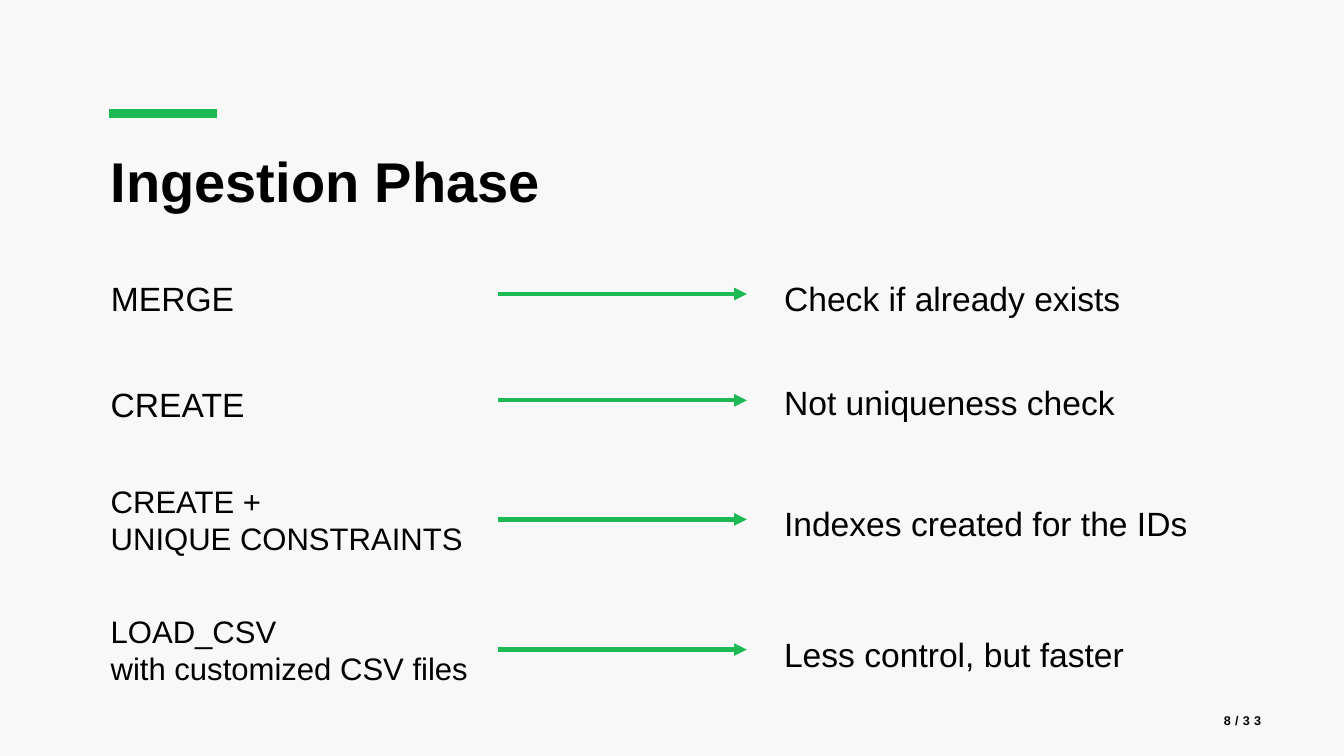
import pptx
import pptx.util
import pptx.dml.color
import pptx.enum.shapes
import pptx.enum.text
import pptx.oxml
import pptx.oxml.ns

Pt = pptx.util.Pt
ALIGN = pptx.enum.text.PP_ALIGN
COLORS = {"background": "F8F8F8", "accent": "1DB954", "text": "000000"}
LEFT, LABEL_WIDTH = 72, 283.7
ARROW_START, ARROW_END = 355.7, 533.5
NOTE_LEFT, NOTE_WIDTH = 553, 354
ROWS = [
    ("MERGE", 210, "Check if already exists", 210),
    ("CREATE", 286, "Not uniqueness check", 284.6),
    ("CREATE +\nUNIQUE CONSTRAINTS", 371, "Indexes created for the IDs", 371),
    ("LOAD_CSV\nwith customized CSV files", 464, "Less control, but faster", 464),
]


def color(name):
    """Return the named colour."""
    return pptx.dml.color.RGBColor.from_string(COLORS[name])


def add_child(parent, tag, **attributes):
    """Append a DrawingML element with attributes."""
    child = pptx.oxml.ns.qn(tag)
    element = parent.makeelement(child, attributes)
    parent.append(element)


def write(box, place, text, size, bold=False, align=ALIGN.LEFT, spacing=1.0, before=0):
    """Place a text shape and format its words."""
    box.left, box.top, box.width, box.height = (Pt(length) for length in place)
    frame = box.text_frame
    frame.text = text
    frame.word_wrap = True
    frame.auto_size = pptx.enum.text.MSO_AUTO_SIZE.NONE
    frame.vertical_anchor = pptx.enum.text.MSO_ANCHOR.MIDDLE
    for para in frame.paragraphs:
        para.alignment = align
        para.line_spacing = spacing
        para.space_before = Pt(before)
        for span in para.runs:
            span.font.name = "Arial"
            span.font.size = Pt(size)
            span.font.bold = bold
            span.font.color.rgb = color("text")


def add_line(page, start, end, y, weight, arrow=False):
    """Draw a horizontal accent line, with an arrowhead on request."""
    line = page.shapes.add_connector(
        pptx.enum.shapes.MSO_CONNECTOR.STRAIGHT, Pt(start), Pt(y), Pt(end), Pt(y))
    line.line.color.rgb = color("accent")
    line.line.width = Pt(weight)
    if arrow:
        add_child(line.line._get_or_add_ln(), "a:tailEnd", type="triangle")
    add_child(line._element.spPr, "a:effectLst")


def add_header(page):
    """Draw the accent bar and the title."""
    add_line(page, 77.8, 154.8, 81, 6)
    write(page.shapes.title, (LEFT, 99.4, 408, 59), "Ingestion Phase", 40, bold=True)


def add_label(page, box, center, text):
    """Place a command centred on its row."""
    if "\n" in text:
        write(box, (LEFT, center - 31.3, LABEL_WIDTH, 62.6), text, 22.2)
    else:
        write(box, (LEFT, center - 22.7, LABEL_WIDTH, 45.4), text, 24, spacing=1.2, before=10)


def add_rows(page):
    """Lay out commands, arrows and their effects."""
    body = page.placeholders[1]
    for index, (label, center, note, note_center) in enumerate(ROWS):
        box = page.shapes.add_textbox(0, 0, 0, 0) if index else body
        add_label(page, box, center, label)
        add_line(page, ARROW_START, ARROW_END, center, 3, arrow=True)
        write(page.shapes.add_textbox(0, 0, 0, 0),
              (NOTE_LEFT, note_center - 22.7, NOTE_WIDTH, 45.4),
              note, 24, spacing=1.2, before=10)
    properties = body.text_frame.paragraphs[0]._p.get_or_add_pPr()
    properties.set("marL", "0")
    properties.set("indent", "0")
    add_child(properties, "a:buNone")


def add_page_number(page):
    """Write the spaced page count at the lower right."""
    box = page.shapes.add_textbox(0, 0, 0, 0)
    write(box, (851, 500.4, 56.9, 28.8), "8/33", 9, bold=True, align=ALIGN.RIGHT)
    box.text_frame.paragraphs[0].runs[0]._r.get_or_add_rPr().set("spc", "300")


def main():
    """Build and save the slide."""
    deck = pptx.Presentation()
    deck.slide_width, deck.slide_height = Pt(960), Pt(540)
    page = deck.slides.add_slide(deck.slide_layouts[1])
    page.background.fill.solid()
    page.background.fill.fore_color.rgb = color("background")
    add_header(page)
    add_rows(page)
    add_page_number(page)
    deck.save("out.pptx")


if __name__ == "__main__":
    main()
